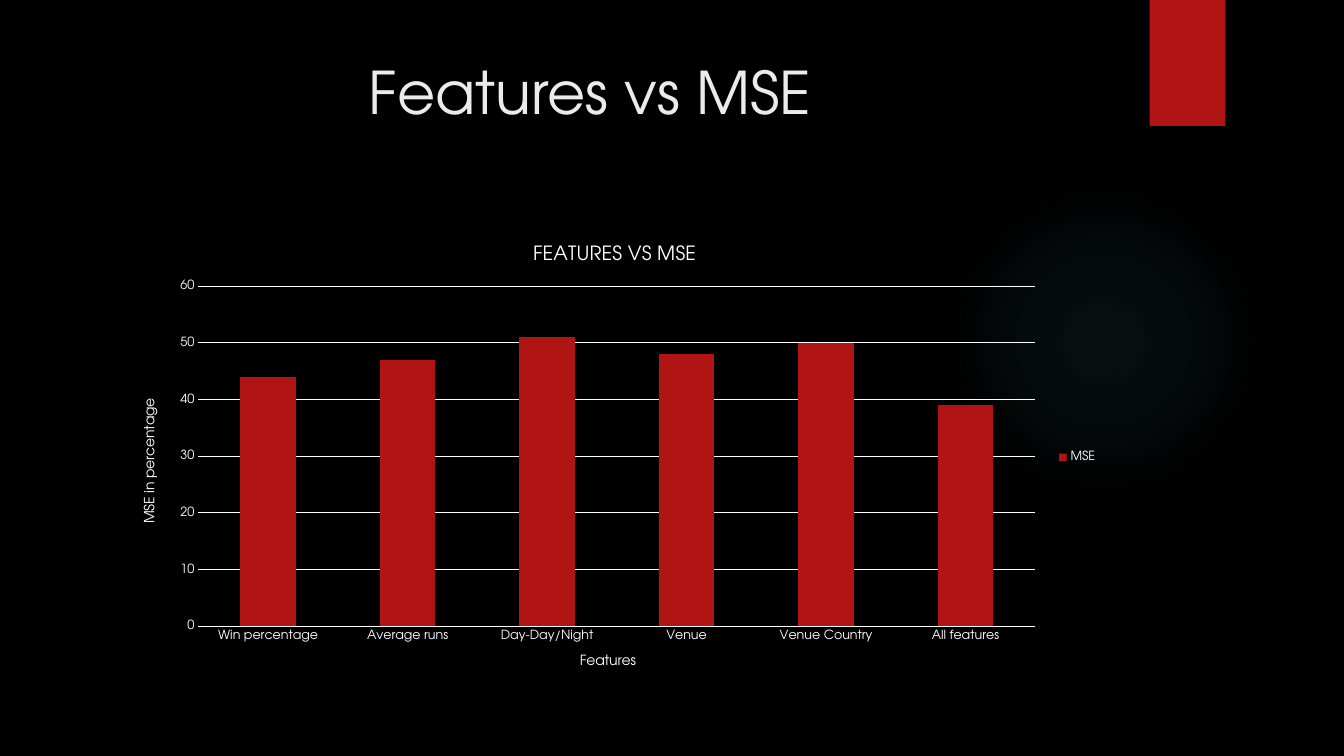
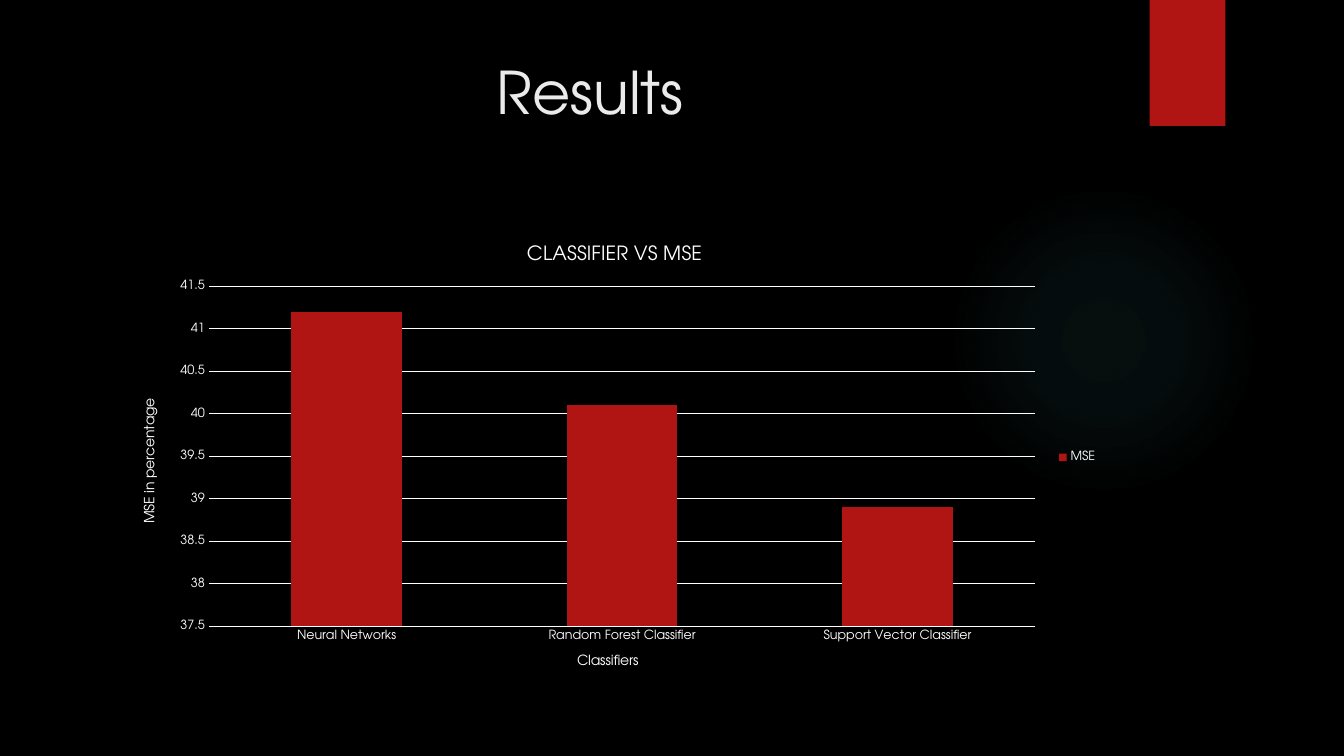
from lxml.etree import fromstring
from pptx import Presentation
from pptx.chart.data import CategoryChartData
from pptx.dml.color import RGBColor
from pptx.enum.chart import XL_CHART_TYPE as ChartType
from pptx.enum.chart import XL_LEGEND_POSITION as LegendPosition
from pptx.enum.chart import XL_TICK_MARK as TickMark
from pptx.enum.shapes import MSO_SHAPE as Shape
from pptx.enum.text import MSO_ANCHOR as Anchor
from pptx.enum.text import MSO_AUTO_SIZE as AutoSize
from pptx.enum.text import PP_ALIGN as Align
from pptx.util import Pt

PX = 9525  # EMU in one px, 96 px to the inch
FONT = "TeX Gyre Adventor"
BLACK = RGBColor(0x00, 0x00, 0x00)
WHITE = RGBColor(0xFF, 0xFF, 0xFF)
PALE = RGBColor(0xEB, 0xEB, 0xEB)
RED = RGBColor(0xB0, 0x15, 0x13)
TEAL = RGBColor(0x50, 0xB9, 0xC1)
GLOW_STOPS = ((0, 7), (36, 6), (69, 0))  # position and opacity, percent
DRAWING_NS = "http://schemas.openxmlformats.org/drawingml/2006/main"


def px(*lengths):
    return [length * PX for length in lengths]


def style_font(font, size, color=WHITE):
    font.name = FONT
    font.size = Pt(size)
    font.bold = False
    font.color.rgb = color


class Deck:
    def __init__(self):
        self.presentation = Presentation()
        self.presentation.slide_width, self.presentation.slide_height = px(1280, 720)
        self.layout = self.presentation.slide_layouts[5]
        self.slide = None

    def add_slide(self, title):
        is_first = self.slide is None
        if is_first:
            self.prepare_layout()
        self.slide = self.presentation.slides.add_slide(self.layout)
        if is_first:
            self.decorate_layout()
        self.set_title(title)

    def prepare_layout(self):
        background = self.layout.background.fill
        background.solid()
        background.fore_color.rgb = BLACK
        for footer in list(self.layout.placeholders)[1:]:
            footer.element.getparent().remove(footer.element)

    def decorate_layout(self):
        """Draw the glow and the red tab, then move them to the shared layout."""
        glow = self.add_plain_shape(Shape.OVAL, 903, 176, 296, 296)
        self.fill_glow(glow)
        tab = self.add_plain_shape(Shape.RECTANGLE, 1095, 0, 72, 120)
        tab.fill.solid()
        tab.fill.fore_color.rgb = RED
        for decoration in (glow, tab):
            self.layout.shapes.element.append(decoration.element)

    def add_plain_shape(self, kind, left, top, width, height):
        shape = self.slide.shapes.add_shape(kind, *px(left, top, width, height))
        shape.shadow.inherit = False
        shape.line.fill.background()
        return shape

    def fill_glow(self, shape):
        """Fill with a radial gradient that fades out from the centre."""
        stops = "".join(
            f'<a:gs pos="{position * 1000}"><a:srgbClr val="{TEAL}">'
            f'<a:alpha val="{opacity * 1000}"/></a:srgbClr></a:gs>'
            for position, opacity in GLOW_STOPS
        )
        gradient = fromstring(
            f'<a:gradFill xmlns:a="{DRAWING_NS}"><a:gsLst>{stops}</a:gsLst>'
            '<a:path path="circle"><a:fillToRect l="50000" t="50000" '
            'r="50000" b="50000"/></a:path></a:gradFill>'
        )
        shape.fill.background()
        properties = shape.element.spPr
        properties.replace(properties.find(f"{{{DRAWING_NS}}}noFill"), gradient)

    def set_title(self, text):
        title = self.slide.shapes.title
        title.left, title.top, title.width, title.height = px(68, 48, 988, 147)
        frame = title.text_frame
        frame.text = text
        frame.word_wrap = True
        frame.auto_size = AutoSize.NONE
        frame.vertical_anchor = Anchor.TOP
        paragraph = frame.paragraphs[0]
        paragraph.alignment = Align.CENTER
        style_font(paragraph.font, 42, PALE)

    def add_mse_chart(self, title, category_title, errors, scale):
        data = CategoryChartData()
        data.categories = list(errors)
        data.add_series("MSE", list(errors.values()))
        chart = self.slide.shapes.add_chart(
            ChartType.COLUMN_CLUSTERED, *px(116, 215, 939, 441), data
        ).chart
        style_font(chart.font, 10)
        self.set_caption(chart.chart_title, title, 14)

        plot = chart.plots[0]
        plot.gap_width = 150
        plot.vary_by_categories = False
        columns = plot.series[0].format.fill
        columns.solid()
        columns.fore_color.rgb = RED

        self.style_axis(chart.category_axis, category_title)
        value_axis = chart.value_axis
        self.style_axis(value_axis, "MSE in percentage")
        value_axis.minimum_scale, value_axis.maximum_scale, value_axis.major_unit = scale
        value_axis.has_major_gridlines = True
        gridline = value_axis.major_gridlines.format.line
        gridline.color.rgb = WHITE
        gridline.width = Pt(0.75)

        chart.has_legend = True
        chart.legend.position = LegendPosition.RIGHT
        chart.legend.include_in_layout = False
        style_font(chart.legend.font, 9)

    def style_axis(self, axis, title):
        self.set_caption(axis.axis_title, title, 10)
        style_font(axis.tick_labels.font, 9)
        axis.major_tick_mark = axis.minor_tick_mark = TickMark.NONE
        axis.format.line.fill.background()

    def set_caption(self, caption, text, size):
        caption.text_frame.text = text
        style_font(caption.text_frame.paragraphs[0].font, size)


def main():
    deck = Deck()

    deck.add_slide("Features vs MSE")
    feature_errors = {
        "Win percentage": 44,
        "Average runs": 47,
        "Day-Day/Night": 51,
        "Venue": 48,
        "Venue Country": 50,
        "All features": 39,
    }
    deck.add_mse_chart("FEATURES VS MSE", "Features", feature_errors, (0, 60, 10))

    deck.add_slide("Results")
    classifier_errors = {
        "Neural Networks": 41.2,
        "Random Forest Classifier": 40.1,
        "Support Vector Classifier": 38.9,
    }
    deck.add_mse_chart(
        "CLASSIFIER VS MSE", "Classifiers", classifier_errors, (37.5, 41.5, 0.5)
    )

    deck.presentation.save("out.pptx")


if __name__ == "__main__":
    main()
